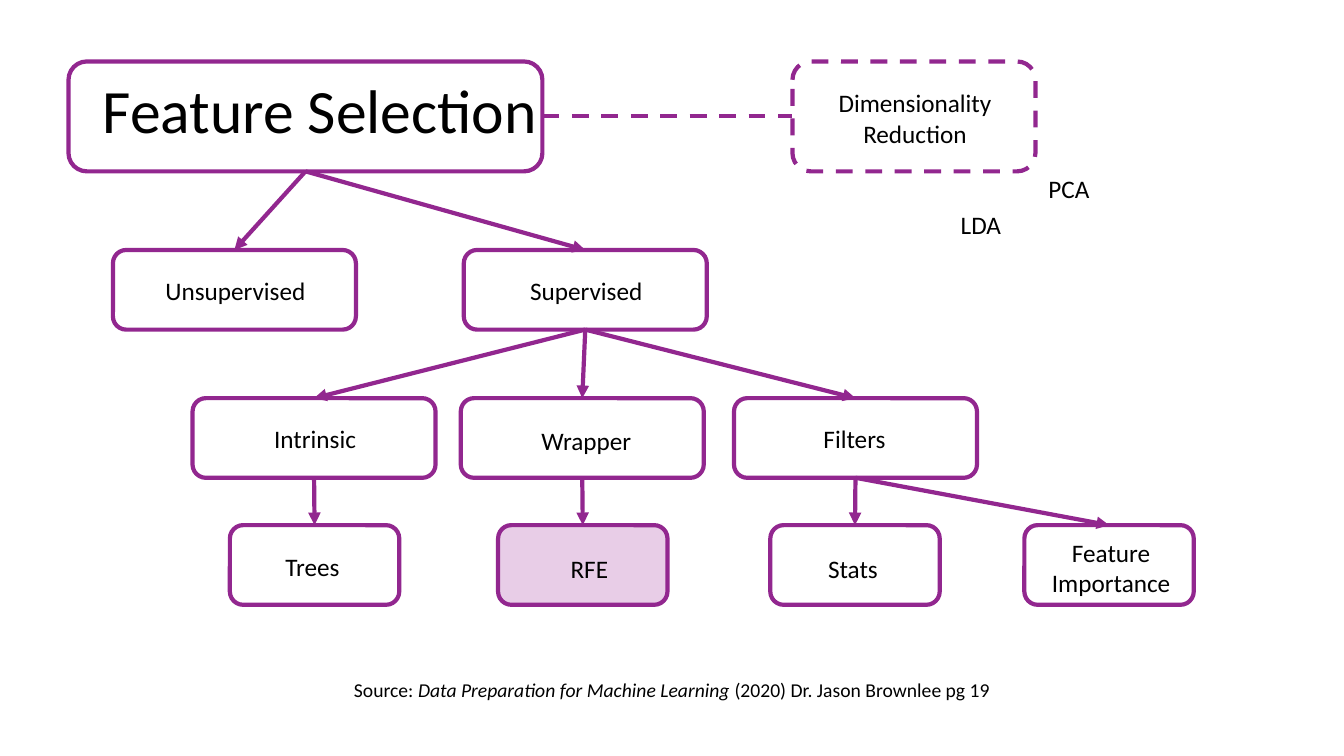
from lxml import etree
from pptx import Presentation
from pptx.dml.color import RGBColor
from pptx.enum.dml import MSO_LINE
from pptx.enum.shapes import MSO_CONNECTOR, MSO_SHAPE
from pptx.enum.text import MSO_ANCHOR, MSO_AUTO_SIZE, PP_ALIGN
from pptx.oxml.ns import qn
from pptx.util import Inches, Pt

FONT = "Calibri"
BLACK, PURPLE, LILAC = "000000", "92278F", "E8CDE7"

METHOD_WIDTH, EXAMPLE_WIDTH = 2.41, 1.68
TOP_HEIGHT, NODE_HEIGHT = 1.09, 0.79
ROOT_TOP, LEARNING_TOP, METHOD_TOP, EXAMPLE_TOP = 0.61, 2.48, 3.95, 5.21

# name: (left, top, width), (label left, label top, label width)
NODES = {
    "Unsupervised": ((1.12, LEARNING_TOP, METHOD_WIDTH), (1.39, 2.68, 1.89)),
    "Supervised": ((4.6, LEARNING_TOP, METHOD_WIDTH), (4.87, 2.68, 1.89)),
    "Intrinsic": ((1.91, METHOD_TOP, METHOD_WIDTH), (2.18, 4.15, 1.89)),
    "Wrapper": ((4.57, METHOD_TOP, METHOD_WIDTH), (4.87, 4.17, 1.89)),
    "Filters": ((7.28, METHOD_TOP, METHOD_WIDTH), (7.53, 4.15, 1.89)),
    "Trees": ((2.28, EXAMPLE_TOP, EXAMPLE_WIDTH), (2.48, 5.42, 1.24)),
    "RFE": ((4.94, EXAMPLE_TOP, EXAMPLE_WIDTH), (5.17, 5.44, 1.35)),
    "Stats": ((7.64, EXAMPLE_TOP, EXAMPLE_WIDTH), (7.79, 5.44, 1.34)),
    "Feature Importance": ((10.16, EXAMPLE_TOP, EXAMPLE_WIDTH), (10.26, 5.28, 1.52)),
}
BRANCHES = {
    "Feature Selection": ["Unsupervised", "Supervised"],
    "Supervised": ["Intrinsic", "Wrapper", "Filters"],
    "Intrinsic": ["Trees"],
    "Wrapper": ["RFE"],
    "Filters": ["Stats", "Feature Importance"],
}


def rgb(color):
    return RGBColor.from_string(color)


def style_line(line, dashed):
    line.color.rgb = rgb(PURPLE)
    line.width = Pt(3)
    if dashed:
        line.dash_style = MSO_LINE.DASH


def add_box(slide, left, top, width, height, fill=None, dashed=False):
    box = slide.shapes.add_shape(
        MSO_SHAPE.ROUNDED_RECTANGLE,
        Inches(left), Inches(top), Inches(width), Inches(height))
    box.shadow.inherit = False
    if fill:
        box.fill.solid()
        box.fill.fore_color.rgb = rgb(fill)
    else:
        box.fill.background()
    style_line(box.line, dashed)
    return box


def add_label(slide, runs, left, top, width, height=0.4, size=18,
              align=PP_ALIGN.CENTER, wrap=True):
    """Add one paragraph of (text, italic) runs."""
    label = slide.shapes.add_textbox(
        Inches(left), Inches(top), Inches(width), Inches(height))
    frame = label.text_frame
    frame.word_wrap = wrap
    frame.auto_size = MSO_AUTO_SIZE.SHAPE_TO_FIT_TEXT
    paragraph = frame.paragraphs[0]
    paragraph.alignment = align
    for text, italic in runs:
        run = paragraph.add_run()
        run.text = text
        run.font.name = FONT
        run.font.size = Pt(size)
        run.font.italic = italic
        run.font.color.rgb = rgb(BLACK)
    return label


def add_link(slide, start, start_side, end, end_side, dashed=False, arrow=True):
    link = slide.shapes.add_connector(MSO_CONNECTOR.STRAIGHT, 0, 0, 0, 0)
    link.begin_connect(start, start_side)
    link.end_connect(end, end_side)
    style_line(link.line, dashed)
    if arrow:
        etree.SubElement(link.line._get_or_add_ln(), qn("a:tailEnd"), type="triangle")
    etree.SubElement(link._element.spPr, qn("a:effectLst"))


def add_title(slide):
    title = add_label(slide, [("Feature Selection", False)], 0.92, 0.4, 9.31, 1.45,
                      size=44, align=PP_ALIGN.LEFT)
    title.text_frame.auto_size = MSO_AUTO_SIZE.NONE
    title.text_frame.vertical_anchor = MSO_ANCHOR.MIDDLE
    title.text_frame.paragraphs[0].line_spacing = 0.9


def main():
    deck = Presentation()
    deck.slide_width, deck.slide_height = Inches(13.33), Inches(7.5)
    slide = deck.slides.add_slide(deck.slide_layouts[6])

    add_title(slide)
    root = add_box(slide, 0.68, ROOT_TOP, 4.7, TOP_HEIGHT)
    boxes = {"Feature Selection": root}
    for name, (place, label_place) in NODES.items():
        fill = LILAC if name == "RFE" else None
        boxes[name] = add_box(slide, *place, NODE_HEIGHT, fill=fill)
        add_label(slide, [(name, False)], *label_place)

    reduction = add_box(slide, 7.86, ROOT_TOP, METHOD_WIDTH, TOP_HEIGHT, dashed=True)
    add_label(slide, [("Dimensionality Reduction", False)], 8.13, 0.82, 1.89, 0.71)
    add_link(slide, root, 3, reduction, 1, dashed=True, arrow=False)

    for parent, children in BRANCHES.items():
        for child in children:
            add_link(slide, boxes[parent], 2, boxes[child], 0)

    add_label(slide, [("Source: ", False),
                      ("Data Preparation for Machine Learning ", True),
                      ("(2020) Dr. Jason Brownlee pg 19", False)],
              0, 6.68, 13.33, 0.34, size=14)
    for name, left, top, width in (("PCA", 10.3, 1.67, 0.71), ("LDA", 9.43, 2.03, 0.69)):
        add_label(slide, [(name, False)], left, top, width,
                  align=PP_ALIGN.LEFT, wrap=False)

    deck.save("out.pptx")


if __name__ == "__main__":
    main()
